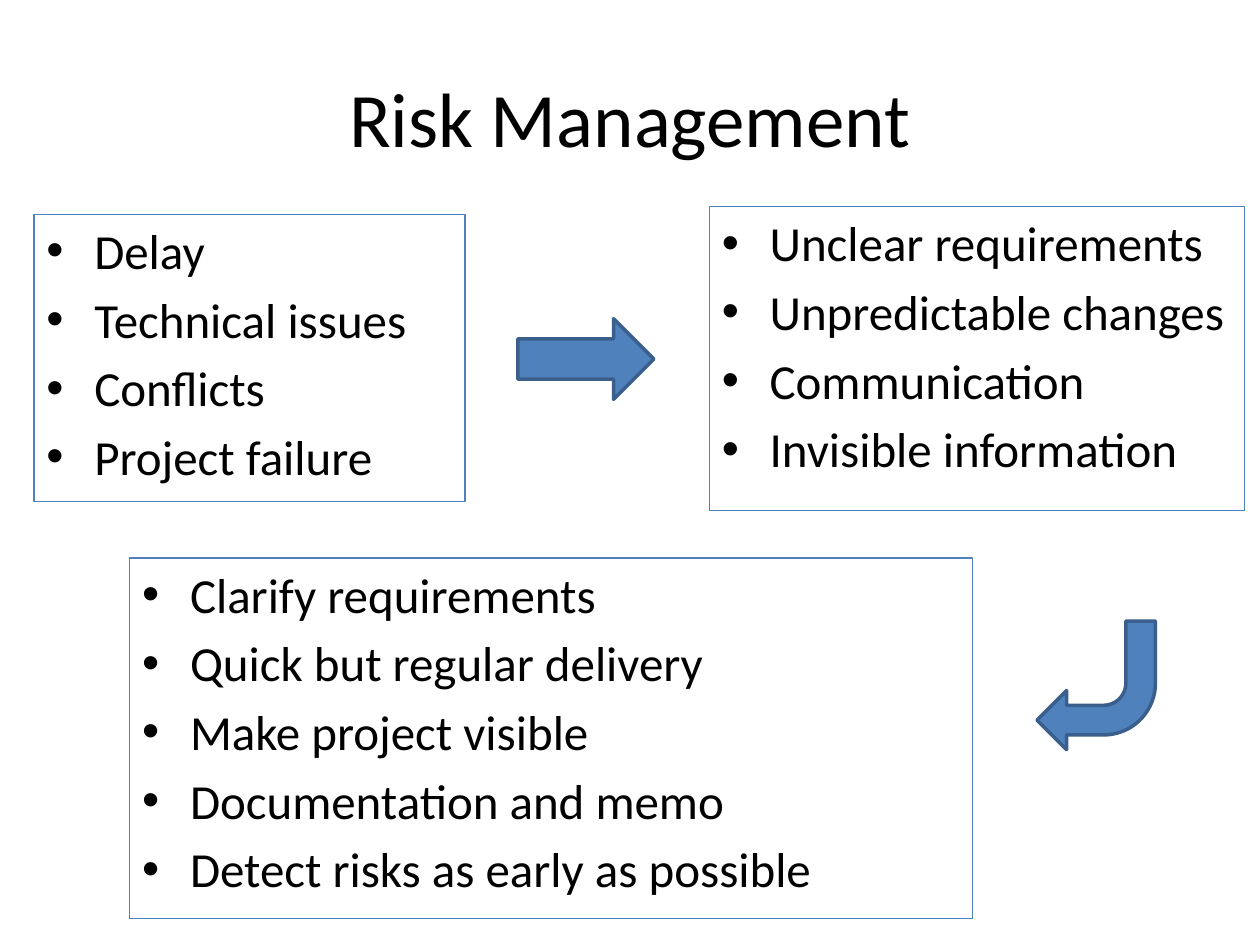
from lxml.etree import SubElement
from pptx import Presentation
from pptx.dml.color import RGBColor
from pptx.enum.shapes import MSO_SHAPE as Preset
from pptx.enum.text import MSO_ANCHOR as Anchor, PP_ALIGN as Align
from pptx.oxml.ns import qn
from pptx.util import Inches, Pt

FONT = "Calibri"
BLACK = RGBColor(0x00, 0x00, 0x00)
BLUE = RGBColor(0x4F, 0x81, 0xBD)
DARK_BLUE = RGBColor(0x3A, 0x5F, 0x8C)
INDENT = Inches(0.38)

TITLE = "Risk Management"
TITLE_BOX = (0.5, 0.3, 9, 1.25)

# (left, top, width, height), bullet lines
LISTS = [
    ((0.27, 1.7, 3.42, 2.28),
     ["Delay", "Technical issues", "Conflicts", "Project failure"]),
    ((5.63, 1.64, 4.25, 2.41),
     ["Unclear requirements", "Unpredictable changes", "Communication",
      "Invisible information"]),
    ((1.03, 4.43, 6.69, 2.86),
     ["Clarify requirements", "Quick but regular delivery",
      "Make project visible", "Documentation and memo",
      "Detect risks as early as possible"]),
]

# preset, (left, top, width, height), rotation
ARROWS = [
    (Preset.RIGHT_ARROW, (4.11, 2.53, 1.08, 0.64), 0),
    (Preset.BENT_ARROW, (8.23, 4.93, 0.94, 1.02), 180),
]


def inches(box):
    return [Inches(value) for value in box]


def format_runs(paragraph, size):
    for run in paragraph.runs:
        run.font.name = FONT
        run.font.size = Pt(size)
        run.font.color.rgb = BLACK


def add_bullet(paragraph):
    """Give a hanging bullet and a gap above of 20% of the line."""
    properties = paragraph._p.get_or_add_pPr()
    properties.set("marL", str(INDENT))
    properties.set("indent", str(-INDENT))
    gap = SubElement(properties, qn("a:spcBef"))
    SubElement(gap, qn("a:spcPct"), val="20000")
    SubElement(properties, qn("a:buFont"), typeface="Arial")
    SubElement(properties, qn("a:buChar"), char="•")


def add_title(slide):
    title = slide.shapes.title
    title.left, title.top, title.width, title.height = inches(TITLE_BOX)
    title.text_frame.text = TITLE
    title.text_frame.vertical_anchor = Anchor.MIDDLE
    paragraph = title.text_frame.paragraphs[0]
    paragraph.alignment = Align.CENTER
    format_runs(paragraph, 44)


def add_list(slide, box, lines):
    shape = slide.shapes.add_textbox(*inches(box))
    shape.line.color.rgb = BLUE
    shape.line.width = Pt(0.75)
    frame = shape.text_frame
    frame.word_wrap = True
    frame.text = "\n".join(lines)
    for paragraph in frame.paragraphs:
        add_bullet(paragraph)
        format_runs(paragraph, 28)


def add_arrow(slide, preset, box, rotation):
    arrow = slide.shapes.add_shape(preset, *inches(box))
    arrow.rotation = rotation
    arrow.shadow.inherit = False
    arrow.fill.solid()
    arrow.fill.fore_color.rgb = BLUE
    arrow.line.color.rgb = DARK_BLUE
    arrow.line.width = Pt(2)


def main():
    presentation = Presentation()
    presentation.slide_width, presentation.slide_height = inches((10, 7.5))
    slide = presentation.slides.add_slide(presentation.slide_layouts[5])
    add_title(slide)
    for box, lines in LISTS:
        add_list(slide, box, lines)
    for preset, box, rotation in ARROWS:
        add_arrow(slide, preset, box, rotation)
    presentation.save("out.pptx")


if __name__ == "__main__":
    main()
